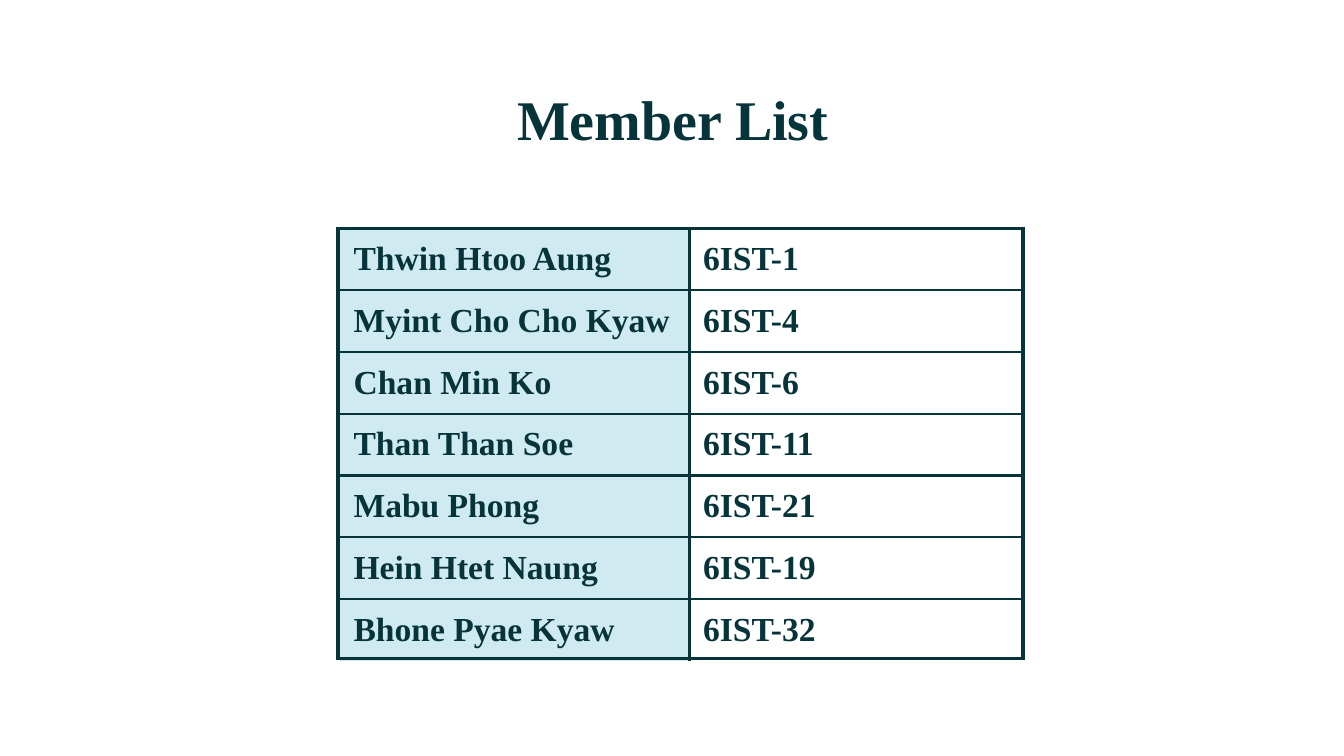
from lxml import etree
from pptx import Presentation
from pptx.dml.color import RGBColor
from pptx.enum.text import MSO_ANCHOR, PP_ALIGN
from pptx.oxml.ns import qn
from pptx.util import Pt

MIDDLE, TOP = MSO_ANCHOR.MIDDLE, MSO_ANCHOR.TOP
CENTER = PP_ALIGN.CENTER
INK, PALE = "06343A", "CFEBF1"
MEMBERS = [
    ("Thwin Htoo Aung", "6IST-1"),
    ("Myint Cho Cho Kyaw", "6IST-4"),
    ("Chan Min Ko", "6IST-6"),
    ("Than Than Soe", "6IST-11"),
    ("Mabu Phong", "6IST-21"),
    ("Hein Htet Naung", "6IST-19"),
    ("Bhone Pyae Kyaw", "6IST-32"),
]


def style(para, size):
    para.font.color.rgb = RGBColor.from_string(INK)
    look = {"name": "Times New Roman", "size": Pt(size), "bold": True}
    for key, value in look.items():
        setattr(para.font, key, value)


def border(cell, widths):
    """Draw the cell's sides; a width of 0 leaves a side bare."""
    props = cell._tc.get_or_add_tcPr()
    for side, width in zip("LRTB", widths):
        line = etree.SubElement(props, qn(f"a:ln{side}"), w=str(Pt(width)))
        if width:
            fill = etree.SubElement(line, qn("a:solidFill"))
            etree.SubElement(fill, qn("a:srgbClr"), val=INK)
        else:
            etree.SubElement(line, qn("a:noFill"))


prs = Presentation()
prs.slide_width, prs.slide_height = Pt(720), Pt(405)
slide = prs.slides.add_slide(prs.slide_layouts[6])

# Title
box = slide.shapes.add_textbox(Pt(57), Pt(35.3), Pt(607), Pt(45.4))
frame = box.text_frame
layout = {"word_wrap": True, "vertical_anchor": TOP, "margin_top": Pt(10)}
for key, value in layout.items():
    setattr(frame, key, value)
title = frame.paragraphs[0]
title.text = "Member List"
title.alignment = CENTER
style(title, 30)

# Member table with inner lines only
last = len(MEMBERS) - 1
grid = slide.shapes.add_table(
    len(MEMBERS), 2, Pt(182.2), Pt(122.4), Pt(365.8), Pt(231.8)).table
grid.first_row = grid.horz_banding = False
grid.columns[0].width, grid.columns[1].width = Pt(187.2), Pt(178.6)
inset = {"margin_left": Pt(7.2), "margin_right": Pt(7.2),
         "margin_top": 0, "margin_bottom": 0, "vertical_anchor": MIDDLE}
for row, member in enumerate(MEMBERS):
    grid.rows[row].height = Pt(33.1)
    for col, text in enumerate(member):
        cell = grid.cell(row, col)
        for key, value in inset.items():
            setattr(cell, key, value)
        cell.text = text
        style(cell.text_frame.paragraphs[0], 18)
        sides = (col == 1, col == 0, row > 0, row < last)
        border(cell, [1.5 * side for side in sides])
        if col == 0:
            cell.fill.solid()
            cell.fill.fore_color.rgb = RGBColor.from_string(PALE)
        else:
            cell.fill.background()

# Outer frame, a one-cell table
outer = slide.shapes.add_table(
    1, 1, Pt(181), Pt(122.4), Pt(367.2), Pt(230.4)).table
outer.first_row = outer.horz_banding = False
border(outer.cell(0, 0), [2.25] * 4)
outer.cell(0, 0).fill.background()

prs.save("out.pptx")
